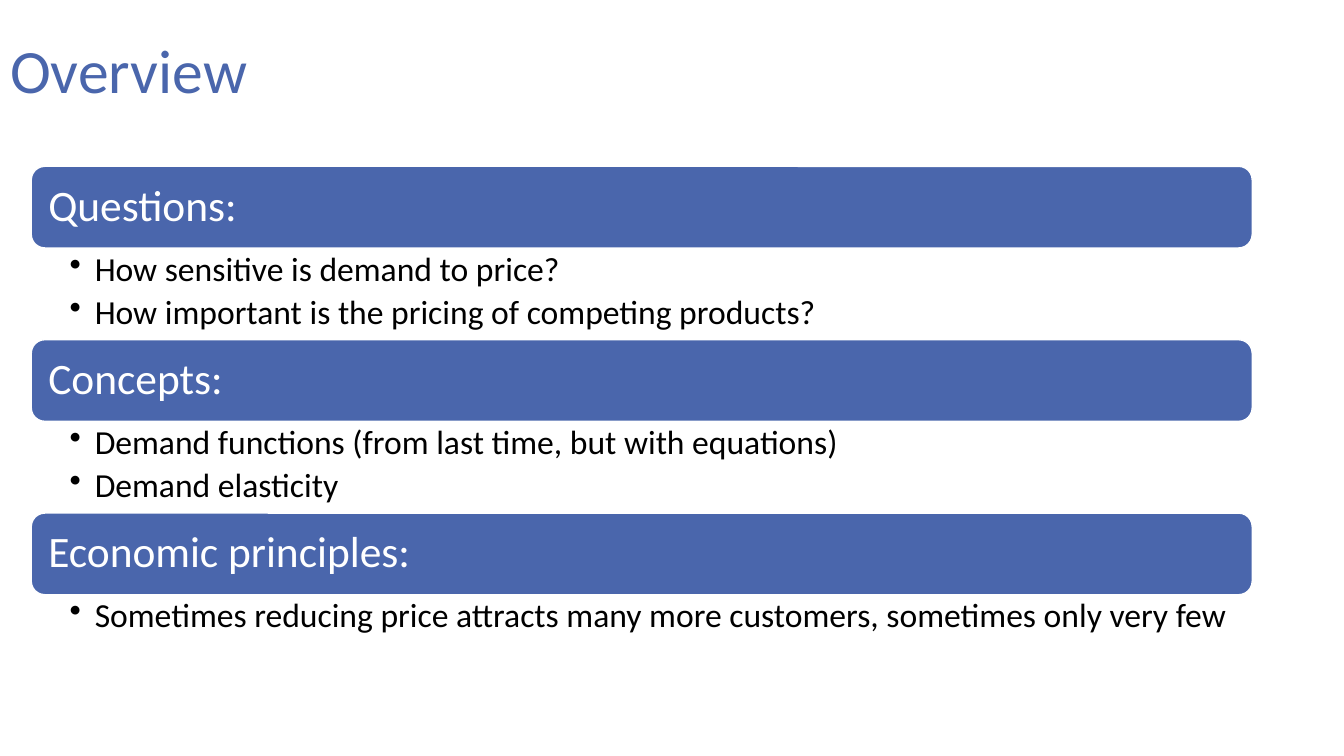
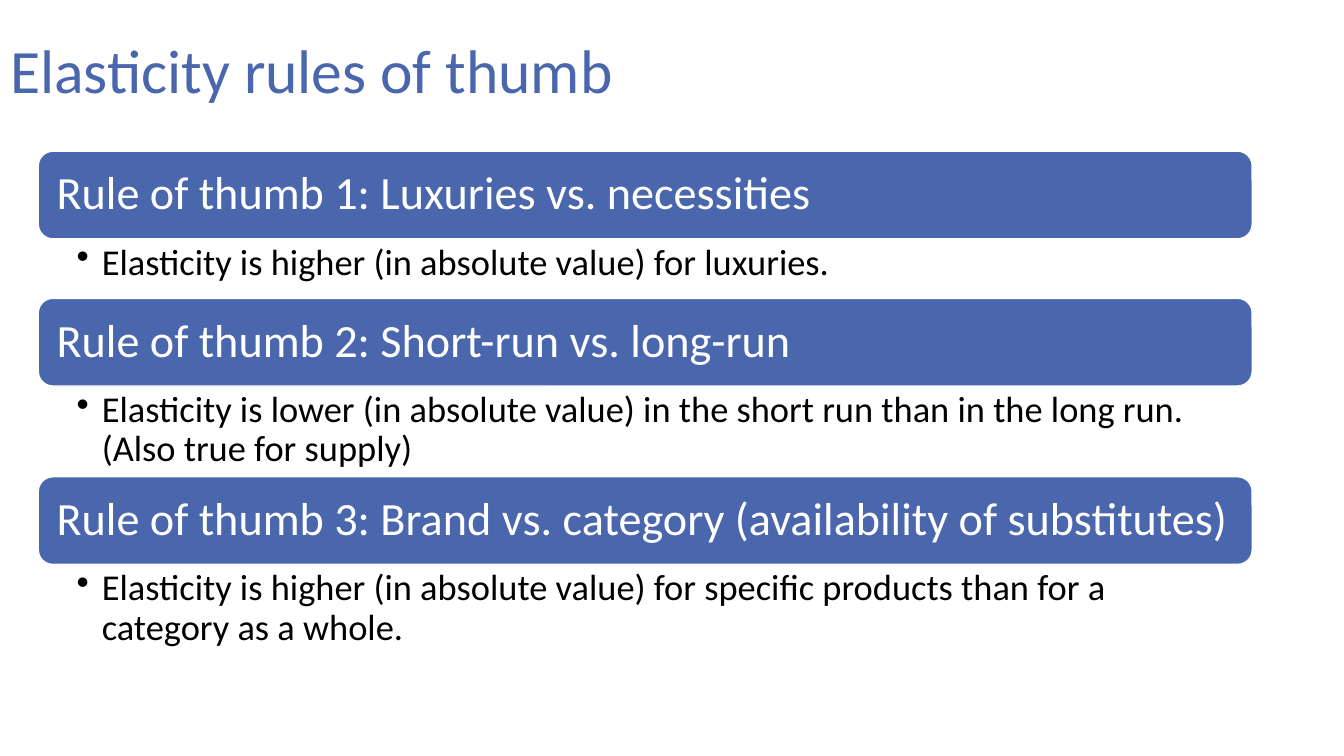
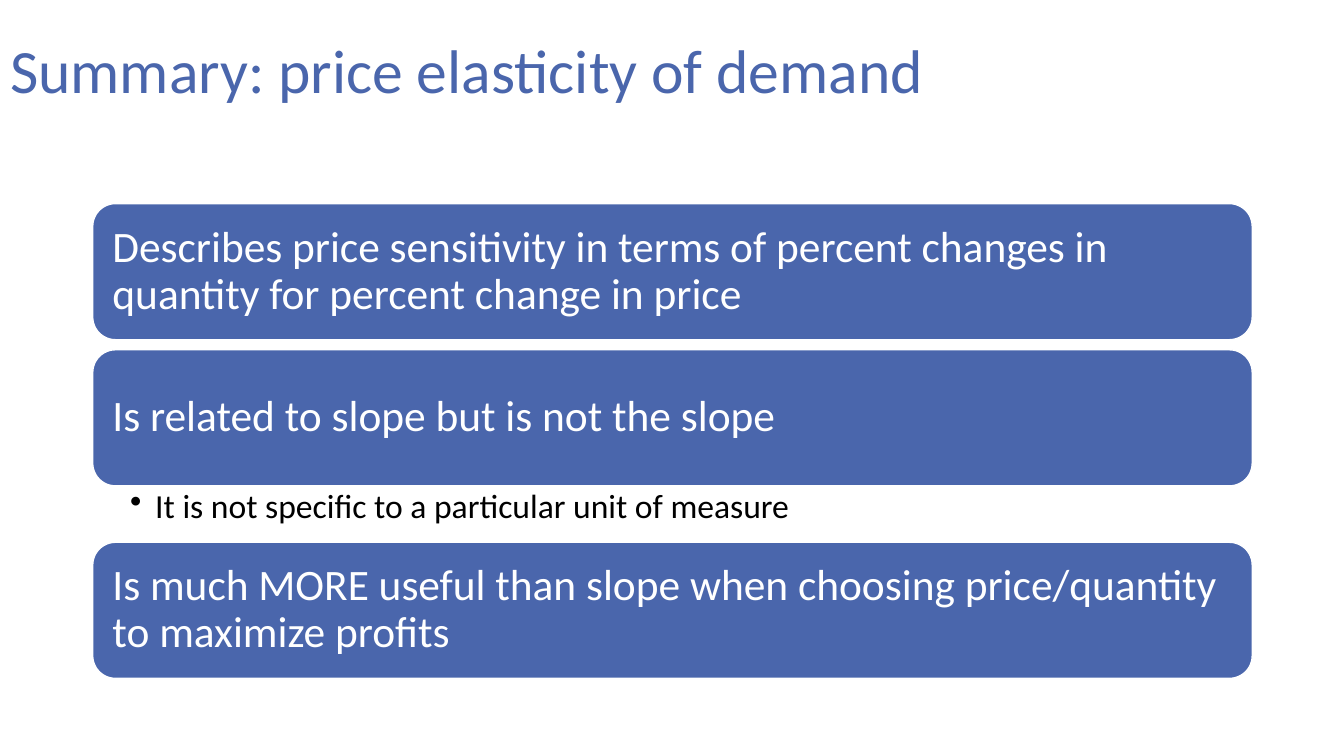
from dataclasses import dataclass

from pptx import Presentation
from pptx.dml.color import RGBColor
from pptx.enum.shapes import MSO_SHAPE
from pptx.enum.text import MSO_ANCHOR, MSO_AUTO_SIZE, PP_ALIGN
from pptx.oxml.ns import qn
from pptx.util import Inches, Pt


@dataclass(frozen=True)
class Theme:
    accent = RGBColor.from_string("4A66AC")
    white = RGBColor.from_string("FFFFFF")
    black = RGBColor.from_string("000000")
    font = "Calibri"
    title_size = 44
    line_spacing = 0.9
    bullet_spacing = 0.2
    bullet_indent = 0.25
    slide_size = (13.33, 7.5)
    title_box = (0, 0, 11.5, 1.45)
    right_edge = 12.42


THEME = Theme()

SLIDES = [
    dict(
        title="Overview",
        left=0.31, top=1.65, bar_height=0.81, bar_inset=0.13,
        heading_size=31, bullet_size=24, list_insets=(0.38, 0.04, 0.24, 0.04),
        sections=[
            ("Questions:", 0.91, [
                "How sensitive is demand to price?",
                "How important is the pricing of competing products?",
            ]),
            ("Concepts:", 0.91, [
                "Demand functions (from last time, but with equations)",
                "Demand elasticity",
            ]),
            ("Economic principles:", 0.82, [
                "Sometimes reducing price attracts many more customers, sometimes only very few",
            ]),
        ],
    ),
    dict(
        title="Elasticity rules of thumb",
        left=0.38, top=1.5, bar_height=0.87, bar_inset=0.14,
        heading_size=33, bullet_size=26, list_insets=(0.38, 0.05, 0.26, 0.05),
        sections=[
            ("Rule of thumb 1: Luxuries vs. necessities", 0.59, [
                "Elasticity is higher (in absolute value) for luxuries.",
            ]),
            ("Rule of thumb 2: Short-run vs. long-run", 0.9, [
                "Elasticity is lower (in absolute value) in the short run than in the long run. (Also true for supply)",
            ]),
            ("Rule of thumb 3: Brand vs. category (availability of substitutes)", 0.9, [
                "Elasticity is higher (in absolute value) for specific products than for a category as a whole.",
            ]),
        ],
    ),
    dict(
        title="Summary: price elasticity of demand",
        left=0.92, top=2.02, bar_height=1.35, bar_inset=0.13,
        heading_size=31, bullet_size=24, list_insets=(0.37, 0.04, 0.24, 0.04),
        sections=[
            ("Describes price sensitivity in terms of percent changes in quantity for percent change in price", 0.1, []),
            ("Is related to slope but is not the slope", 0.56, [
                "It is not specific to a particular unit of measure",
            ]),
            ("Is much MORE useful than slope when choosing price/quantity to maximize profits", 0, []),
        ],
    ),
]


def apply(target, values):
    for name, value in values.items():
        setattr(target, name, value)


def write(frame, lines, size, color, anchor, insets):
    sides = ("margin_left", "margin_top", "margin_right", "margin_bottom")
    apply(frame, dict(word_wrap=True, auto_size=MSO_AUTO_SIZE.NONE, vertical_anchor=anchor))
    apply(frame, dict(zip(sides, map(Inches, insets))))
    frame.text = "\n".join(lines)
    for paragraph in frame.paragraphs:
        apply(paragraph, dict(alignment=PP_ALIGN.LEFT, line_spacing=THEME.line_spacing))
        apply(paragraph.runs[0].font, dict(name=THEME.font, size=Pt(size)))
        paragraph.runs[0].font.color.rgb = color


def add_bar(slide, box, heading, look):
    bar = slide.shapes.add_shape(MSO_SHAPE.ROUNDED_RECTANGLE, *map(Inches, box))
    bar.shadow.inherit = False
    bar.fill.solid()
    bar.fill.fore_color.rgb = THEME.accent
    bar.line.color.rgb = THEME.white
    bar.line.width = Pt(1)
    write(bar.text_frame, [heading], look["heading_size"], THEME.white,
          MSO_ANCHOR.MIDDLE, [look["bar_inset"]] * 4)


def add_list(slide, box, bullets, look):
    frame = slide.shapes.add_textbox(*map(Inches, box)).text_frame
    size = look["bullet_size"]
    write(frame, bullets, size, THEME.black, MSO_ANCHOR.TOP, look["list_insets"])
    indent = Inches(THEME.bullet_indent)
    for paragraph in frame.paragraphs:
        paragraph.level = 1
        paragraph.space_after = Pt(size * THEME.bullet_spacing)
        properties = paragraph._p.get_or_add_pPr()
        properties.set("marL", str(indent))
        properties.set("indent", str(-indent))
        bullet = properties.makeelement(qn("a:buChar"), {"char": "•"})
        properties.append(bullet)


def build_slide(deck, layout, content):
    slide = deck.slides.add_slide(layout)
    write(slide.shapes.title.text_frame, [content["title"]], THEME.title_size,
          THEME.accent, MSO_ANCHOR.MIDDLE, (0.1, 0.05, 0.1, 0.05))
    left, top, bar_height = content["left"], content["top"], content["bar_height"]
    width = THEME.right_edge - left
    for heading, list_height, bullets in content["sections"]:
        add_bar(slide, (left, top, width, bar_height), heading, content)
        top += bar_height
        if bullets:
            add_list(slide, (left, top, width, list_height), bullets, content)
        top += list_height


def main():
    deck = Presentation()
    deck.slide_width, deck.slide_height = map(Inches, THEME.slide_size)
    layout = deck.slide_layouts.get_by_name("Title Only")
    edges = ("left", "top", "width", "height")
    apply(layout.placeholders[0], dict(zip(edges, map(Inches, THEME.title_box))))
    for content in SLIDES:
        build_slide(deck, layout, content)
    deck.save("out.pptx")


if __name__ == "__main__":
    main()
